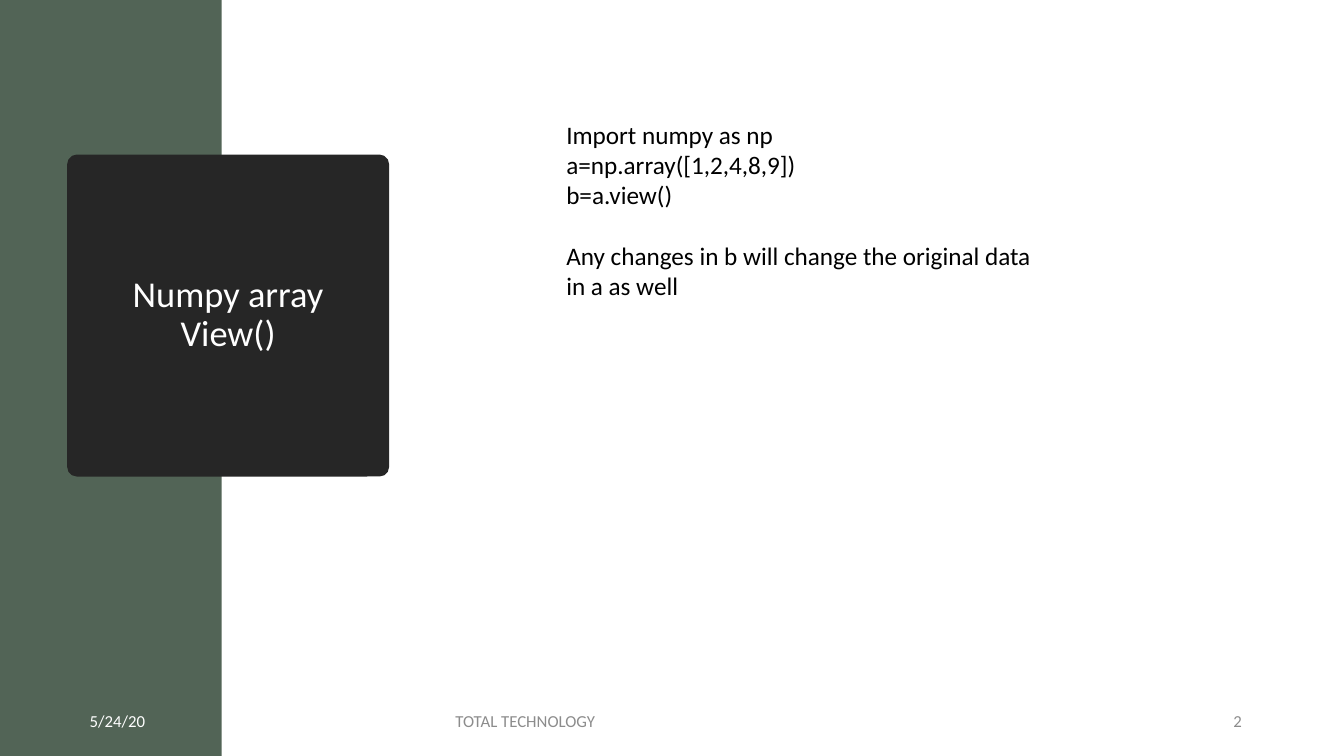
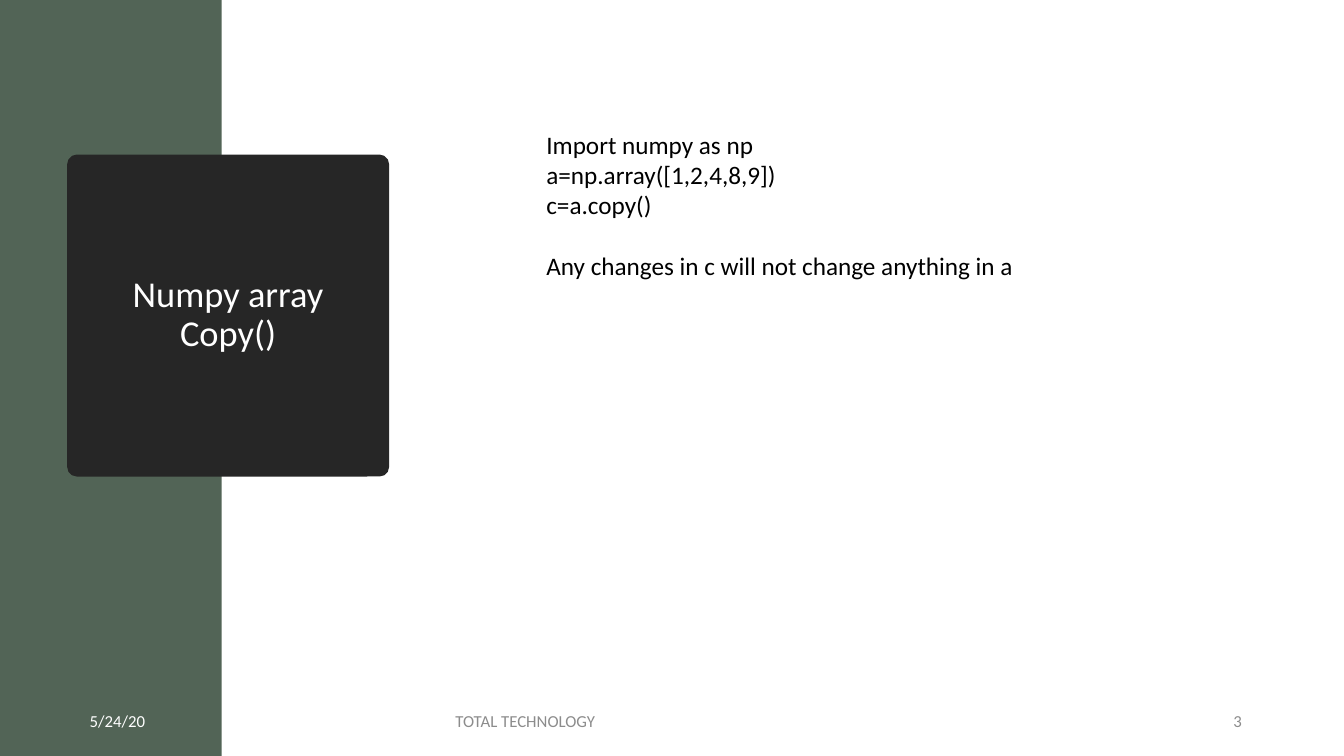
from pptx import Presentation
from pptx.dml.color import RGBColor
from pptx.enum import shapes, text
from pptx.util import Pt

WIDTH, HEIGHT = 960, 540
FONT = "Calibri"
GREEN, CHARCOAL, WHITE, GREY, BLACK = "526456", "262626", "FFFFFF", "8C8C8C", "000000"
LEFT, CENTER, RIGHT = text.PP_ALIGN.LEFT, text.PP_ALIGN.CENTER, text.PP_ALIGN.RIGHT

BAND = (0, 0, 158.4, HEIGHT)
TITLE_CARD = (48, 110.4, 230, 230)
FOOTER = (18.72, 500.4, 875.5, 28.8)

LESSONS = [
    {
        "title": "Numpy array View()",
        "code": ["Import numpy as np", "a=np.array([1,2,4,8,9])", "b=a.view()"],
        "remark": "Any changes in b will change the original data in a as well",
        "box": (397.4, 81.4, 347, 138.2),
    },
    {
        "title": "Numpy array Copy()",
        "code": ["Import numpy as np", "a=np.array([1,2,4,8,9])", "c=a.copy()"],
        "remark": "Any changes in c will not change anything in a",
        "box": (383.2, 88.6, 352, 116.6),
    },
]


def color(value):
    return RGBColor.from_string(value)


def points(box):
    return [Pt(length) for length in box]


def add_panel(slide, preset, box, fill):
    panel = slide.shapes.add_shape(preset, *points(box))
    panel.shadow.inherit = False
    panel.fill.solid()
    panel.fill.fore_color.rgb = color(fill)
    panel.line.fill.background()
    return panel


def write(frame, lines, size, ink, align=LEFT, anchor=text.MSO_ANCHOR.MIDDLE):
    frame.word_wrap = True
    frame.vertical_anchor = anchor
    frame.text = "\n".join(lines)
    for paragraph in frame.paragraphs:
        paragraph.alignment = align
        for run in paragraph.runs:
            run.font.name = FONT
            run.font.size = Pt(size)
            run.font.color.rgb = color(ink)


def add_title_card(slide, box, title):
    card = add_panel(slide, shapes.MSO_SHAPE.ROUNDED_RECTANGLE, box, CHARCOAL)
    card.adjustments[0] = 0.03
    frame = card.text_frame
    frame.margin_left = frame.margin_right = Pt(14)
    write(frame, [title], 26, WHITE, CENTER)
    frame.paragraphs[0].line_spacing = 0.9


def add_footer(slide, box, number):
    left, top, width, height = box
    parts = [
        ("5/24/20", 0, 130.3, WHITE, CENTER),
        ("TOTAL TECHNOLOGY", 299.5, 381.6, GREY, LEFT),
        (str(number), width - 116, 116, GREY, RIGHT),
    ]
    for label, offset, part_width, ink, align in parts:
        part = slide.shapes.add_textbox(*points((left + offset, top, part_width, height)))
        write(part.text_frame, [label], 12, ink, align)
        part.text_frame.paragraphs[0].space_after = Pt(6)


def add_example(slide, box, code, remark):
    example = slide.shapes.add_textbox(*points(box))
    frame = example.text_frame
    write(frame, code + [remark], 18, BLACK, anchor=text.MSO_ANCHOR.TOP)
    frame.paragraphs[-1].space_before = Pt(22)


def add_lesson(deck, lesson, number):
    slide = deck.slides.add_slide(deck.slide_layouts[6])
    add_panel(slide, shapes.MSO_SHAPE.RECTANGLE, BAND, GREEN)
    add_title_card(slide, TITLE_CARD, lesson["title"])
    add_footer(slide, FOOTER, number)
    add_example(slide, lesson["box"], lesson["code"], lesson["remark"])


def main():
    deck = Presentation()
    deck.slide_width, deck.slide_height = Pt(WIDTH), Pt(HEIGHT)
    for number, lesson in enumerate(LESSONS, start=2):
        add_lesson(deck, lesson, number)
    deck.save("out.pptx")


if __name__ == "__main__":
    main()
